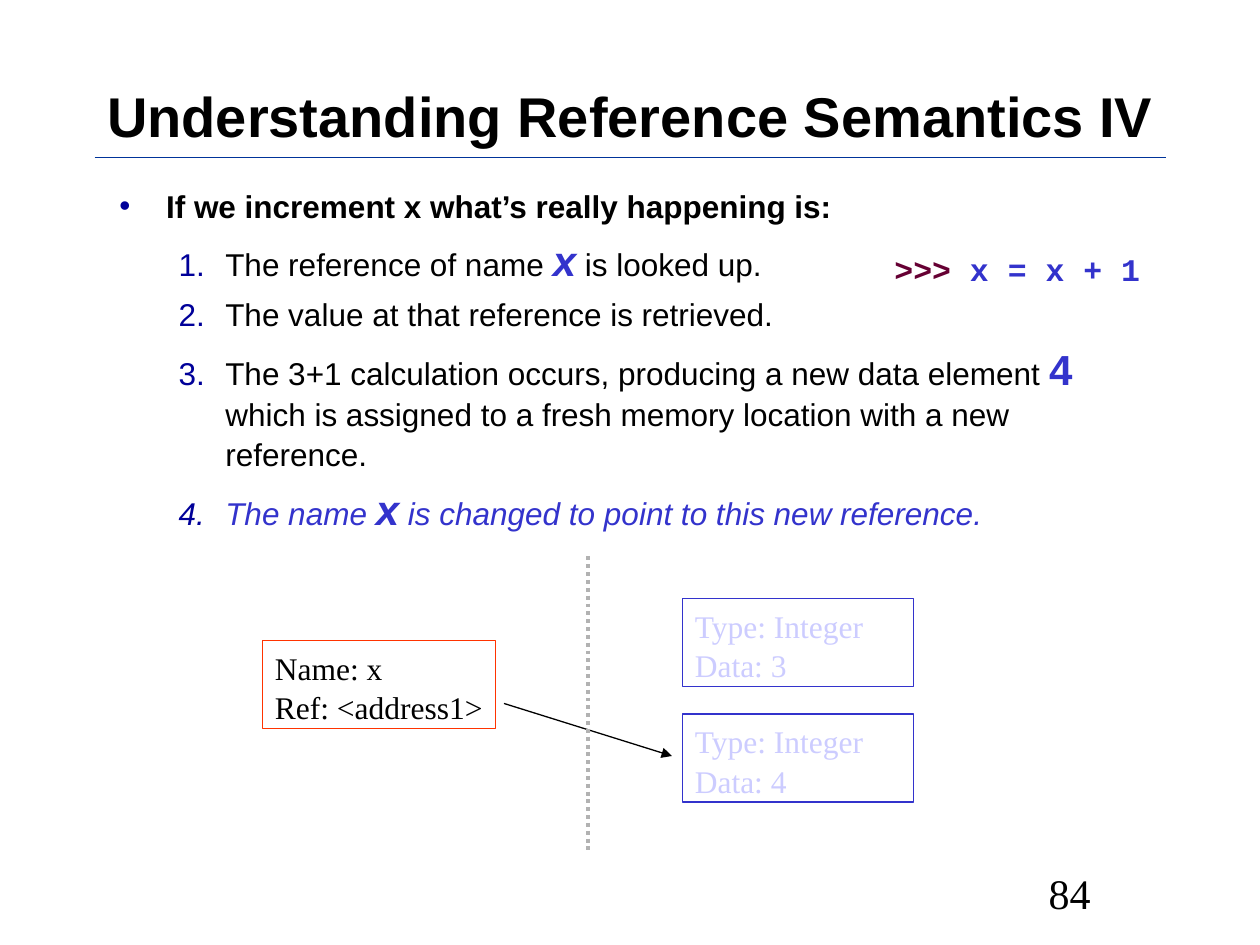
from dataclasses import dataclass

from lxml import etree
from pptx import Presentation
from pptx.dml.color import RGBColor
from pptx.enum import dml, shapes, text
from pptx.oxml.ns import qn
from pptx.util import Inches, Pt

UNIT = 1 / 12  # the slide is a grid of 120 columns by 90 rows
BLACK, BLUE, NAVY = "000000", "3333CC", "000099"


@dataclass
class Run:
    words: str
    size: int = 18
    color: str = BLACK
    bold: bool = False
    italic: bool = False


@dataclass
class DataBox:
    col: float
    row: float
    width: float
    lines: tuple[str, str]
    border: str
    ink: str
    wrap: bool = True


@dataclass
class Rule:
    start: tuple[float, float]
    end: tuple[float, float]
    color: str
    weight: float
    dotted: bool = False
    arrow: bool = False


def grid(*cells: float) -> list[int]:
    return [Inches(cell * UNIT) for cell in cells]


def rgb(value: str) -> RGBColor:
    return RGBColor.from_string(value)


def style(font, name: str, size: int, color: str, bold: bool = False) -> None:
    font.name, font.size, font.bold = name, Pt(size), bold
    font.color.rgb = rgb(color)


def write(paragraph, runs: list[Run], face: str) -> None:
    for part in runs:
        run = paragraph.add_run()
        run.text = part.words
        style(run.font, face, part.size, part.color, part.bold)
        run.font.italic = part.italic


def indent(paragraph, margin: float, first: float = 0) -> None:
    props = paragraph._p.get_or_add_pPr()
    props.set("marL", str(Inches(margin)))
    props.set("indent", str(Inches(first)))


def mark(paragraph, tag: str, **attributes: str) -> None:
    """Give a paragraph a navy bullet or number."""
    props = paragraph._p.get_or_add_pPr()
    color = etree.SubElement(props, qn("a:buClr"))
    etree.SubElement(color, qn("a:srgbClr"), val=NAVY)
    etree.SubElement(props, qn("a:buFont"), typeface="Arial")
    etree.SubElement(props, qn(tag), **attributes)


def add_text(slide, *cells: float):
    frame = slide.shapes.add_textbox(*grid(*cells)).text_frame
    frame.word_wrap = True
    return frame


def draw_box(slide, box: DataBox) -> None:
    shape = slide.shapes.add_shape(
        shapes.MSO_SHAPE.RECTANGLE, *grid(box.col, box.row, box.width, 8.4))
    shape.shadow.inherit = False
    shape.fill.background()
    shape.line.color.rgb = rgb(box.border)
    shape.line.width = Pt(0.75)
    frame = shape.text_frame
    frame.word_wrap = box.wrap
    frame.vertical_anchor = text.MSO_ANCHOR.TOP
    frame.text = "\n".join(box.lines)
    for paragraph in frame.paragraphs:
        paragraph.alignment = text.PP_ALIGN.LEFT
        paragraph.line_spacing = 1.05
        style(paragraph.font, "Times New Roman", 18, box.ink)


def draw_rule(slide, rule: Rule) -> None:
    line = slide.shapes.add_connector(
        shapes.MSO_CONNECTOR.STRAIGHT, *grid(*rule.start, *rule.end))
    line.line.color.rgb = rgb(rule.color)
    line.line.width = Pt(rule.weight)
    if rule.dotted:
        line.line.dash_style = dml.MSO_LINE.ROUND_DOT
    if rule.arrow:
        etree.SubElement(line.line._get_or_add_ln(), qn("a:tailEnd"), type="triangle")
    etree.SubElement(line._element.spPr, qn("a:effectLst"))


STEPS = [
    [Run("The reference of name "), Run("x", 24, BLUE, True, True),
     Run(" is looked up.")],
    [Run("The value at that reference is retrieved.")],
    [Run("The 3+1 calculation occurs, producing a new data element "),
     Run("4", 24, BLUE, True),
     Run(" which is assigned to a fresh memory location with a new reference.")],
    [Run("The name ", 18, BLUE, italic=True), Run("x", 24, BLUE, True, True),
     Run(" is changed to point to this new reference.", 18, BLUE, italic=True)],
]
BOXES = [
    DataBox(65, 57, 22, ("Type: Integer", "Data: 3"), BLUE, "CCCCFF"),
    DataBox(25, 61, 22.2, ("Name: x", "Ref: <address1>"), "FF3300", BLACK, False),
    DataBox(65, 68, 22, ("Type: Integer", "Data: 4"), BLUE, "CCCCFF"),
]
RULES = [
    Rule((9, 15), (111, 15), "003399", 1),
    Rule((48, 67), (64, 72), BLACK, 0.75, arrow=True),
    Rule((56, 53), (56, 81), "B2B2B2", 2.25, dotted=True),
]


def main() -> None:
    deck = Presentation()
    deck.slide_width, deck.slide_height = grid(120, 90)
    slide = deck.slides.add_slide(deck.slide_layouts[5])

    # Title
    title = slide.shapes.title
    title.left, title.top, title.width, title.height = grid(9, 4, 103.8, 14)
    title.text_frame.text = "Understanding Reference Semantics IV"
    title.text_frame.vertical_anchor = text.MSO_ANCHOR.MIDDLE
    heading = title.text_frame.paragraphs[0]
    heading.alignment = text.PP_ALIGN.LEFT
    style(heading.font, "Arial", 32, BLACK, True)

    # Question and numbered steps
    body = add_text(slide, 9, 17, 102, 65)
    question = body.paragraphs[0]
    question.line_spacing = 1.05
    write(question, [Run("If we increment x what’s really happening is:", bold=True)], "Arial")
    indent(question, 0.47, -0.37)
    mark(question, "a:buChar", char="•")
    for runs in STEPS:
        step = body.add_paragraph()
        step.level = 1
        step.line_spacing, step.space_before = 1.05, Pt(4.5)
        write(step, runs, "Arial")
        indent(step, 0.94, -0.37)
        mark(step, "a:buAutoNum", type="arabicPeriod")

    # Memory diagram and lines
    for box in BOXES:
        draw_box(slide, box)
    for rule in RULES:
        draw_rule(slide, rule)

    # Interpreter prompt
    prompt = add_text(slide, 78, 23, 37, 12).paragraphs[0]
    prompt.line_spacing, prompt.space_before = 1.05, Pt(4.5)
    indent(prompt, 0.5)
    write(prompt, [Run(">>> ", 18, "660033", True), Run("x = x + 1", 18, BLUE, True)],
          "Courier New")

    # Page number
    footer = add_text(slide, 86, 79.6, 24.8, 10.8)
    footer.vertical_anchor = text.MSO_ANCHOR.MIDDLE
    number = footer.paragraphs[0]
    number.text = "84"
    number.alignment = text.PP_ALIGN.CENTER
    indent(number, 0.58)
    style(number.font, "Times New Roman", 24, BLACK)

    deck.save("out.pptx")


if __name__ == "__main__":
    main()
